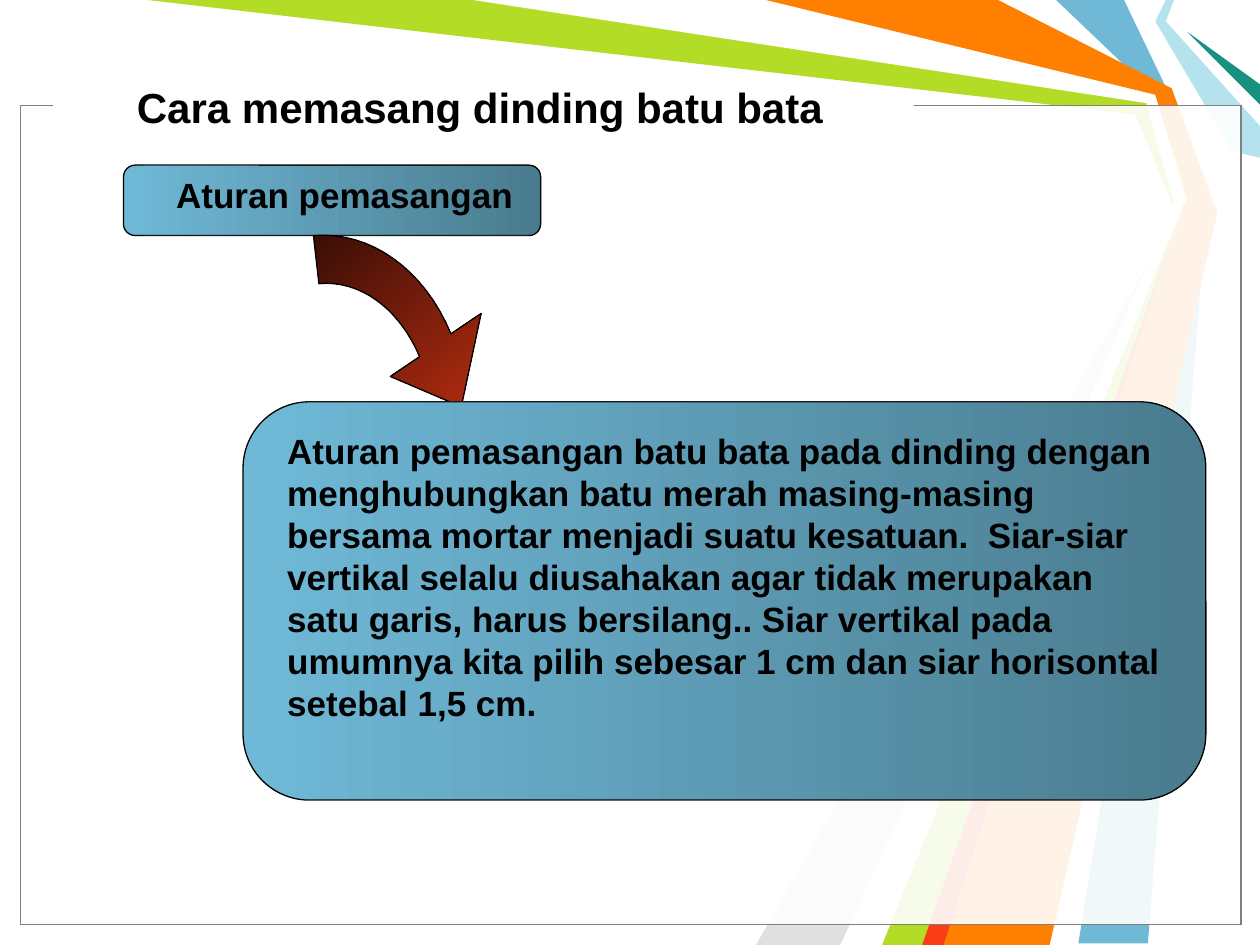
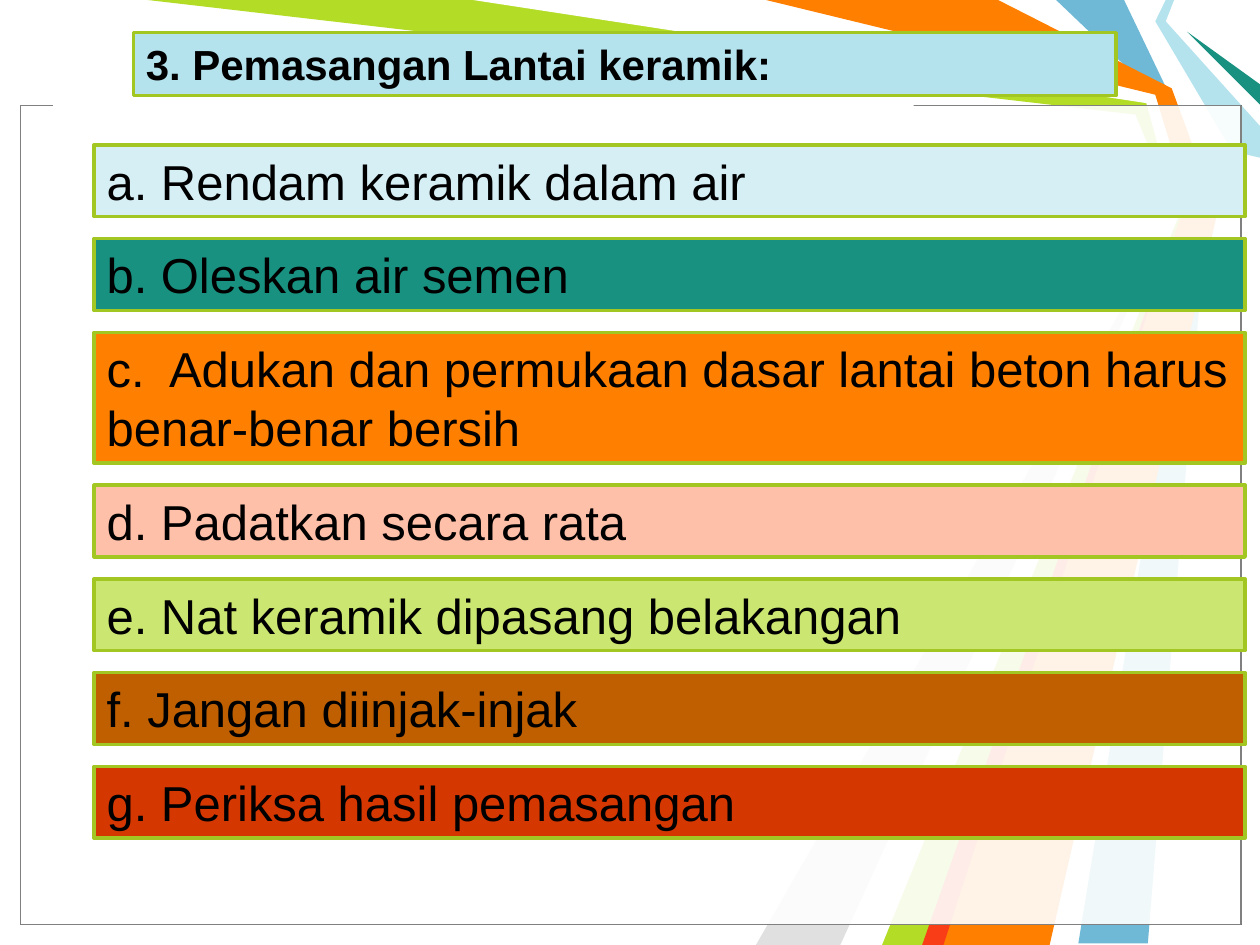
from dataclasses import dataclass

from lxml.etree import SubElement
from pptx import Presentation
from pptx.dml.color import RGBColor
from pptx.enum.shapes import MSO_CONNECTOR, MSO_SHAPE
from pptx.enum.text import MSO_ANCHOR, PP_ALIGN
from pptx.oxml.ns import qn
from pptx.util import Cm, Pt


@dataclass(frozen=True)
class Theme:
    font: str = "Arial"
    title_size: int = 24
    body_size: int = 20
    step_size: int = 28
    black: str = "000000"
    white: str = "FFFFFF"
    gray: str = "808080"
    silver: str = "E0E0E0"
    blue: str = "6FB9D7"
    deep_blue: str = "4A7B8E"
    ice: str = "B4E3EE"
    pale_ice: str = "D6EFF5"
    teal: str = "189180"
    green: str = "B3DC27"
    pale_green: str = "CCE771"
    border_green: str = "A2C722"
    orange: str = "FF7F00"
    brown: str = "BF5F00"
    red: str = "F93D17"
    brick: str = "D53700"
    salmon: str = "FFC0AA"
    arrow_dark: str = "3A0E06"
    arrow_light: str = "B02B10"


T = Theme()

RIBBONS = [
    (T.blue, [(22.66, 0), (23.6, 1.96), (24.33, 4.24), (23.14, 19.02),
              (21.74, 19.02), (24.13, 4.24), (23.29, 1.91), (21.29, 0)]),
    (T.green, [(2.97, 0), (9.73, 0), (23.22, 1.98), (23.93, 4.29),
               (18.85, 19.05), (17.58, 19.05), (23.75, 4.39), (22.89, 2.31)]),
    (T.silver, [(16.94, 19.05), (23.55, 4.6), (15.24, 19.05)]),
    (T.white, [(9.53, 0), (23.11, 2.08), (23.67, 4.11), (17.15, 19.05),
               (17.78, 19.05), (23.9, 4.01), (23.29, 1.91), (15.24, 0)]),
    (T.ice, [(23.5, 0), (23.29, 0.43), (24.84, 3.05), (25.4, 3.18),
             (25.4, 2.54), (23.5, 0.43), (23.67, 0)]),
    (T.teal, [(25.4, 2.11), (23.93, 0.64), (25.4, 1.7)]),
    (T.orange, [(15.44, 0), (20.12, 0), (23.62, 1.78), (24.54, 4.29),
                (21.16, 19.05), (18.62, 19.05), (23.93, 4.01), (23.29, 1.91)]),
    (T.red, [(18.59, 19.05), (23.67, 4.65), (19.02, 19.05)]),
]

RULE_TEXT = (
    "Aturan pemasangan batu bata pada dinding dengan  menghubungkan batu merah "
    "masing-masing bersama mortar menjadi suatu kesatuan.  Siar-siar vertikal "
    "selalu diusahakan agar tidak merupakan satu garis, harus bersilang.. Siar "
    "vertikal pada umumnya kita pilih sebesar 1 cm dan siar horisontal setebal 1,5 cm."
)

STEPS = [
    ("a. Rendam keramik dalam air", T.pale_ice, 1),
    ("b. Oleskan air semen", T.teal, 1),
    ("c.  Adukan dan permukaan dasar lantai beton harus benar-benar bersih", T.orange, 2),
    ("d. Padatkan secara rata", T.salmon, 1),
    ("e. Nat keramik dipasang belakangan", T.pale_green, 1),
    ("f. Jangan diinjak-injak", T.brown, 1),
    ("g. Periksa hasil pemasangan", T.brick, 1),
]


def rgb(color):
    return RGBColor.from_string(color)


def set_opacity(shape, percent):
    """Apply opacity to the first colour defined on the shape."""
    color = next(shape._element.spPr.iter(qn("a:srgbClr")))
    SubElement(color, qn("a:alpha")).set("val", str(percent * 1000))


def paint(shape, fill, line=None, width=0.75, opacity=None, angle=0):
    """Fill with one colour, or with a gradient when fill is a pair."""
    shape.shadow.inherit = False
    if isinstance(fill, tuple):
        shape.fill.gradient()
        shape.fill.gradient_angle = angle
        for stop, color, position in zip(shape.fill.gradient_stops, fill, (0, 1)):
            stop.color.rgb = rgb(color)
            stop.position = position
    else:
        shape.fill.solid()
        shape.fill.fore_color.rgb = rgb(fill)
    if opacity:
        set_opacity(shape, opacity)
    if line:
        shape.line.color.rgb = rgb(line)
        shape.line.width = Pt(width)
    else:
        shape.line.fill.background()


def add_box(s, box, fill, kind=MSO_SHAPE.RECTANGLE, **style):
    sp = s.shapes.add_shape(kind, *map(Cm, box))
    paint(sp, fill, **style)
    return sp


def add_outline(s, points, fill, **style):
    start, *rest = [(Cm(x), Cm(y)) for x, y in points]
    builder = s.shapes.build_freeform(*start)
    builder.add_line_segments(rest, close=True)
    paint(builder.convert_to_shape(), fill, **style)


def write(sp, text, size=T.body_size, bold=True, anchor=MSO_ANCHOR.TOP):
    tf = sp.text_frame
    tf.word_wrap = True
    tf.vertical_anchor = anchor
    p = tf.paragraphs[0]
    p.alignment = PP_ALIGN.LEFT
    r = p.add_run()
    r.text = text
    r.font.name = T.font
    r.font.size = Pt(size)
    r.font.bold = bold
    r.font.color.rgb = rgb(T.black)


def add_text(s, box, text, **style):
    write(s.shapes.add_textbox(*map(Cm, box)), text, **style)


def add_highlight(s, x1, x2, y, opacity):
    line = s.shapes.add_connector(MSO_CONNECTOR.STRAIGHT, Cm(x1), Cm(y), Cm(x2), Cm(y))
    line.line.color.rgb = rgb(T.white)
    line.line.width = Pt(0.25)
    set_opacity(line, opacity)
    SubElement(line._element.spPr, qn("a:effectLst"))


def add_glossy_card(s, box):
    """Rounded gradient card with faint highlights on its long edges."""
    add_box(s, box, (T.blue, T.deep_blue), MSO_SHAPE.ROUNDED_RECTANGLE, line=T.black)
    left, top, width, height = box
    for y, opacity in ((top + height, 15), (top, 25)):
        add_highlight(s, left + 0.05 * width, left + 0.97 * width, y, opacity)


def bezier(*controls, steps=16):
    """Points along a cubic curve given by four control points."""
    def at(t):
        weights = ((1 - t) ** 3, 3 * t * (1 - t) ** 2, 3 * t * t * (1 - t), t ** 3)
        return tuple(sum(w * c[i] for w, c in zip(weights, controls)) for i in (0, 1))
    return [at(k / steps) for k in range(steps + 1)]


def add_curved_arrow(s):
    inner = bezier((8.46, 7.19), (8.05, 6.22), (7.26, 5.64), (6.43, 5.72))
    outer = bezier((6.32, 4.75), (7.47, 4.65), (8.56, 5.44), (9.09, 6.73))
    head = [(9.7, 6.32), (9.3, 8.2), (7.87, 7.59)]
    add_outline(s, inner + outer + head, (T.arrow_dark, T.arrow_light),
                line=T.black, angle=310)


def new_slide(prs):
    """Blank slide with the ribbons and the translucent framed panel."""
    s = prs.slides.add_slide(prs.slide_layouts[6])
    for color, points in RIBBONS:
        add_outline(s, points, color)
    for line in (T.black, T.gray):
        add_box(s, (0.41, 2.13, 24.61, 16.51), T.white, line=line, opacity=69)
    add_box(s, (1.07, 1.88, 17.35, 0.43), T.white)
    return s


def brick_wall_slide(prs):
    s = new_slide(prs)
    add_text(s, (2.51, 0.56, 20.07, 3.18), "Cara memasang dinding batu bata",
             size=T.title_size, anchor=MSO_ANCHOR.MIDDLE)
    add_glossy_card(s, (2.49, 3.33, 8.41, 1.42))
    add_text(s, (3.3, 3.38, 7.59, 1.12), "Aturan pemasangan")
    add_curved_arrow(s)
    add_glossy_card(s, (4.9, 8.1, 19.41, 8.03))
    add_text(s, (5.54, 8.53, 18.26, 6.2), RULE_TEXT)


def ceramic_floor_slide(prs):
    s = new_slide(prs)
    border = {"line": T.border_green, "width": 2}
    heading = add_box(s, (2.69, 0.66, 19.81, 1.27), T.ice, **border)
    write(heading, "3. Pemasangan Lantai keramik:", size=T.title_size)
    top, gap, padding, line_height = 2.92, 0.44, 0.26, 1.19
    for text, color, lines in STEPS:
        height = padding + lines * line_height
        bar = add_box(s, (1.9, top, 23.2, height), color, **border)
        write(bar, text, size=T.step_size, bold=False)
        top += height + gap


def main():
    prs = Presentation()
    prs.slide_width, prs.slide_height = Cm(25.4), Cm(19.05)
    brick_wall_slide(prs)
    ceramic_floor_slide(prs)
    prs.save("out.pptx")


if __name__ == "__main__":
    main()
